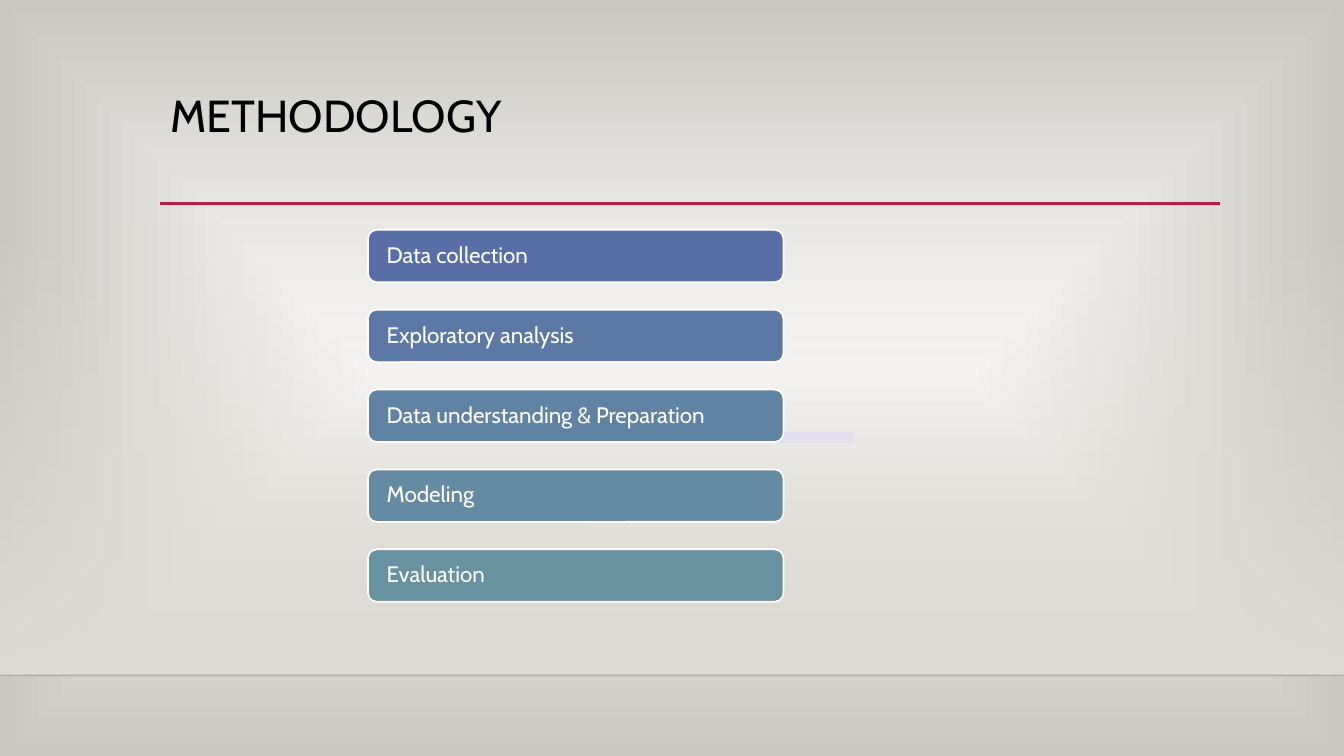
from lxml import etree
from pptx import Presentation
from pptx.dml.color import RGBColor
from pptx.enum.shapes import MSO_CONNECTOR, MSO_SHAPE
from pptx.enum.text import MSO_ANCHOR, MSO_AUTO_SIZE, PP_ALIGN
from pptx.oxml.ns import qn
from pptx.util import Inches, Pt

STRAIGHT = MSO_CONNECTOR.STRAIGHT
RECTANGLE = MSO_SHAPE.RECTANGLE
ROUNDED = MSO_SHAPE.ROUNDED_RECTANGLE
MINUS = MSO_SHAPE.MATH_MINUS
TOP, MIDDLE = MSO_ANCHOR.TOP, MSO_ANCHOR.MIDDLE
LEFT = PP_ALIGN.LEFT
NO_AUTOFIT = MSO_AUTO_SIZE.NONE

FONT = "Cabin"
COLORS = {
    "white": "FFFFFF",
    "black": "000000",
    "edge": "CAC7C1",
    "wall": "DFDBD5",
    "floor line": "000001",
    "accent": "B71E42",
    "minus": "E4DFEF",
}
STEPS = [
    ("Data collection", "586EA6"),
    ("Exploratory analysis", "5C79A5"),
    ("Data understanding & Preparation", "6083A3"),
    ("Modeling", "648BA2"),
    ("Evaluation", "6892A0"),
]
STEP_LEFT, STEP_WIDTH, STEP_HEIGHT = 3.65, 4.12, 0.52
FIRST_TOP, LAST_TOP = 2.28, 5.45


def rgb(name):
    return RGBColor.from_string(COLORS[name])


def add_rule(left, right, top, color, width):
    """Draw a horizontal line without a shadow."""
    rule = slide.shapes.add_connector(
        STRAIGHT, Inches(left), Inches(top), Inches(right), Inches(top))
    rule.line.color.rgb = rgb(color)
    rule.line.width = Pt(width)
    etree.SubElement(rule.element.spPr, qn("a:effectLst"))
    return rule


prs = Presentation()
prs.slide_width, prs.slide_height = Inches(13.33), Inches(7.5)
slide = prs.slides.add_slide(prs.slide_layouts[5])

# Background that darkens from the centre to the edges
backdrop = slide.background.fill
backdrop.gradient()
for stop, color in zip(backdrop.gradient_stops, ("white", "edge")):
    stop.color.rgb = rgb(color)
gradient = slide.element.find(".//" + qn("a:gradFill"))
gradient.remove(gradient.find(qn("a:lin")))
radial = etree.SubElement(gradient, qn("a:path"), {"path": "shape"})
etree.SubElement(radial, qn("a:fillToRect"),
                 {side: "50000" for side in "ltrb"})

# Wall that fades in downwards, closed by the floor line
wall = slide.shapes.add_shape(
    RECTANGLE, 0, Inches(2.21), prs.slide_width, Inches(4.49))
wall.shadow.inherit = False
wall.line.fill.background()
wall.fill.gradient()
wall.fill.gradient_angle = 270
for stop in wall.fill.gradient_stops:
    stop.color.rgb = rgb("wall")
fade_start = wall.element.find(".//" + qn("a:srgbClr"))
etree.SubElement(fade_start, qn("a:alpha"), {"val": "0"})

floor = add_rule(0, 13.33, 6.7, "floor line", 1)
floor_color = floor.element.find(".//" + qn("a:srgbClr"))
etree.SubElement(floor_color, qn("a:alpha"), {"val": "20000"})
add_rule(1.59, 12.1, 2.02, "accent", 2.5)

title = slide.shapes.title
title.left, title.top = Inches(1.59), Inches(0.88)
title.width, title.height = Inches(10.5), Inches(1.15)
title.text_frame.text = "METHODOLOGY"
title.text_frame.auto_size = NO_AUTOFIT
title.text_frame.vertical_anchor = TOP
heading = title.text_frame.paragraphs[0]
heading.alignment = LEFT
heading.line_spacing = 0.9
heading.font.name = FONT
heading.font.size = Pt(32)
heading.font.color.rgb = rgb("black")

minus = slide.shapes.add_shape(
    MINUS, Inches(3.36), Inches(4.12), Inches(5.89), Inches(0.44))
minus.shadow.inherit = False
minus.fill.solid()
minus.fill.fore_color.rgb = rgb("minus")
minus.line.fill.background()

step_pitch = (LAST_TOP - FIRST_TOP) / (len(STEPS) - 1)
for index, (label, color) in enumerate(STEPS):
    step = slide.shapes.add_shape(
        ROUNDED, Inches(STEP_LEFT), Inches(FIRST_TOP + index * step_pitch),
        Inches(STEP_WIDTH), Inches(STEP_HEIGHT))
    step.shadow.inherit = False
    step.fill.solid()
    step.fill.fore_color.rgb = RGBColor.from_string(color)
    step.line.color.rgb = rgb("white")
    step.line.width = Pt(1.25)
    frame = step.text_frame
    frame.text = label
    frame.word_wrap = True
    frame.vertical_anchor = MIDDLE
    frame.margin_left = frame.margin_right = Inches(0.16)
    frame.margin_top = frame.margin_bottom = 0
    paragraph = frame.paragraphs[0]
    paragraph.alignment = LEFT
    paragraph.line_spacing = 0.9
    paragraph.font.name = FONT
    paragraph.font.size = Pt(16)
    paragraph.font.color.rgb = rgb("white")

prs.save("out.pptx")
